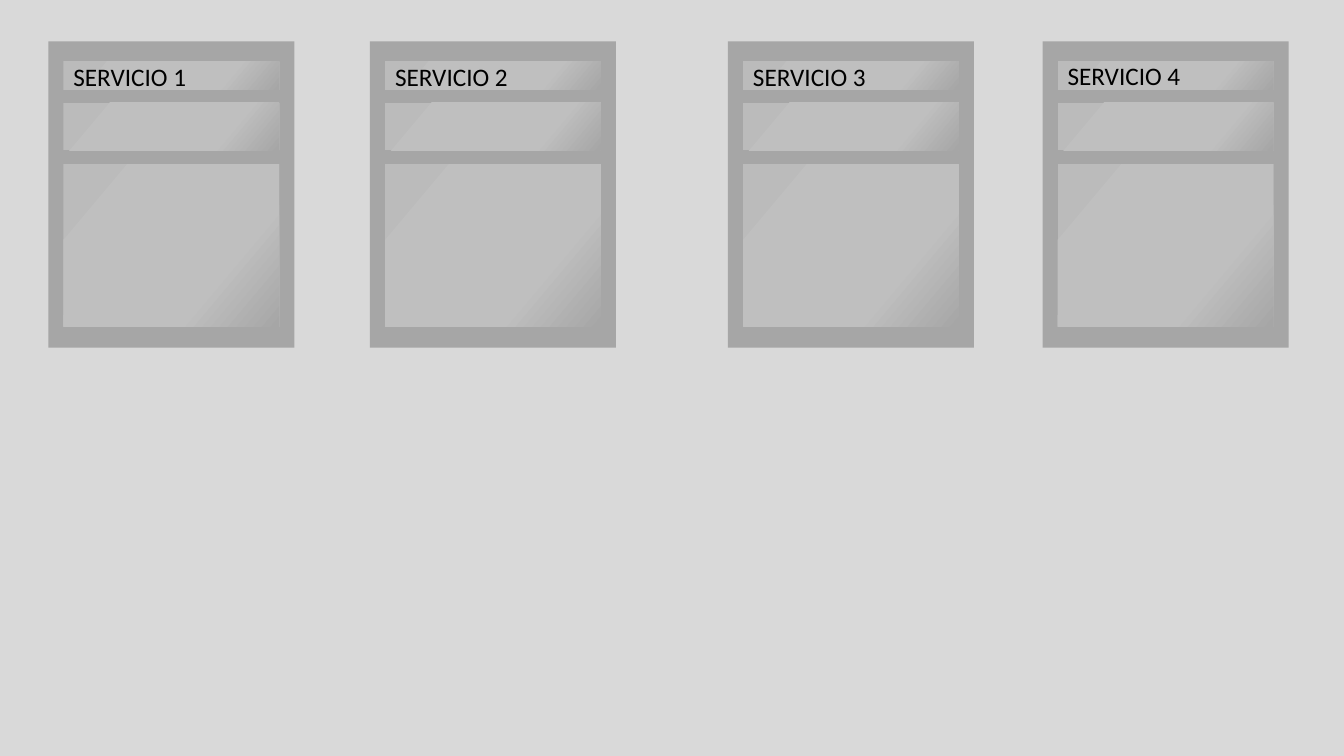
import copy
import pptx
import pptx.util
import pptx.dml.color
import pptx.enum.shapes
import pptx.enum.text
import pptx.oxml.ns

Inches = pptx.util.Inches
COLORS = {
    "back": "D9D9D9",
    "frame": "A6A6A6",
    "shine": "BBBBBB",
    "pane": "BFBFBF",
    "text": "000000",
}


class Board:
    def __init__(self, deck):
        self.font = "Calibri"
        self.size = pptx.util.Pt(18)
        self.slide = deck.slides.add_slide(deck.slide_layouts[6])
        fill = self.slide.background.fill
        fill.solid()
        fill.fore_color.rgb = self.color("back")

    def color(self, name):
        return pptx.dml.color.RGBColor.from_string(COLORS[name])

    def rect(self, left, top, width, height):
        box = self.slide.shapes.add_shape(
            pptx.enum.shapes.MSO_SHAPE.RECTANGLE,
            Inches(left), Inches(top), Inches(width), Inches(height))
        box.shadow.inherit = False
        box.line.fill.background()
        return box

    def frame(self, left, top, width, height):
        box = self.rect(left, top, width, height)
        box.fill.solid()
        box.fill.fore_color.rgb = self.color("frame")

    def pane(self, left, top, width, height, edge):
        box = self.rect(left, top, width, height)
        box.fill.gradient()
        box.fill.gradient_angle = 320
        stops = box._element.spPr.find(".//" + pptx.oxml.ns.qn("a:gsLst"))
        for stop in list(stops):
            stops.append(copy.deepcopy(stop))
        marks = [(0, "shine"), (0.36, "pane"), (edge, "pane"), (1, "frame")]
        for stop, (place, name) in zip(box.fill.gradient_stops, marks):
            stop.position = place
            stop.color.rgb = self.color(name)

    def label(self, text, left, top, width, height):
        box = self.slide.shapes.add_textbox(
            Inches(left), Inches(top), Inches(width), Inches(height))
        frame = box.text_frame
        frame.word_wrap = True
        frame.auto_size = pptx.enum.text.MSO_AUTO_SIZE.SHAPE_TO_FIT_TEXT
        frame.text = text
        font = frame.paragraphs[0].runs[0].font
        font.name = self.font
        font.size = self.size
        font.color.rgb = self.color("text")


def main():
    deck = pptx.Presentation()
    deck.slide_width = Inches(13.33)
    deck.slide_height = Inches(7.5)
    board = Board(deck)
    inset = 0.15
    cards = [(0.48, 0.56, 1.57), (3.67, 0.56, 1.46),
             (7.22, 0.56, 2), (10.34, 0.55, 1.44)]
    panes = [(0.61, 0.28, 0.74), (1.02, 0.47, 0.74), (1.63, 1.61, 0.71)]
    for left, _, _ in cards:
        board.frame(left, 0.41, 2.44, 3.04)
        for top, height, edge in panes:
            board.pane(left + inset, top, 2.14, height, edge)
    for number, (left, top, width) in enumerate(cards, 1):
        board.label(f"SERVICIO {number}", left + inset, top, width, 0.4)
    deck.save("out.pptx")


if __name__ == "__main__":
    main()
